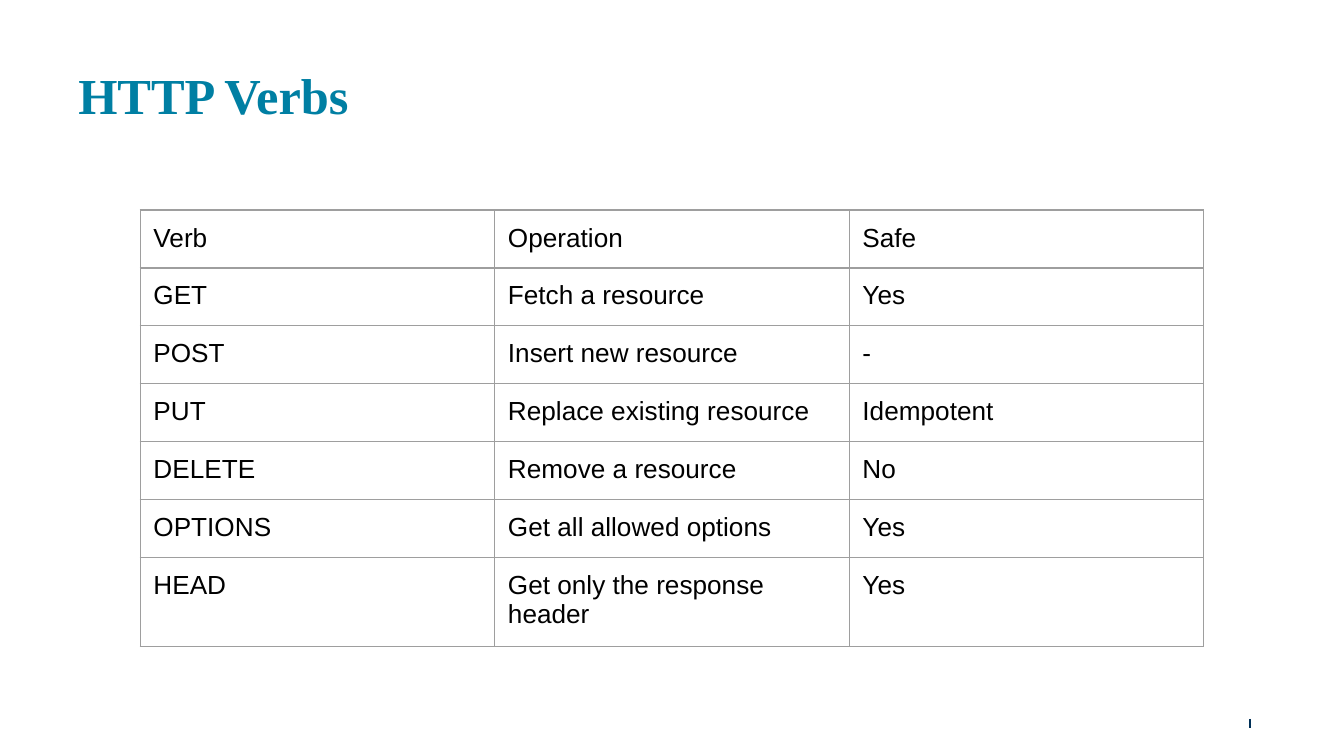
from lxml import etree
from pptx import Presentation
from pptx import util as u
from pptx.dml.color import RGBColor
from pptx.enum import shapes, text
from pptx.oxml import ns

TEAL = RGBColor(0x00, 0x7F, 0xA3)
NAVY = RGBColor(0x00, 0x30, 0x57)
GRAY = RGBColor(0x9E, 0x9E, 0x9E)
BLACK = RGBColor(0x00, 0x00, 0x00)

TITLE_FONT = {"name": "Times New Roman", "size": u.Pt(27), "bold": True}
CELL_FONT = {"name": "Arial", "size": u.Pt(14), "bold": False}
BORDER = u.Pt(0.75)

VERBS = [
    ("Verb", "Operation", "Safe"),
    ("GET", "Fetch a resource", "Yes"),
    ("POST", "Insert new resource", "-"),
    ("PUT", "Replace existing resource", "Idempotent"),
    ("DELETE", "Remove a resource", "No"),
    ("OPTIONS", "Get all allowed options", "Yes"),
    ("HEAD", "Get only the response header", "Yes"),
]


def apply(target, values):
    """Set each named attribute on the target."""
    for name, value in values.items():
        setattr(target, name, value)


def write(para, words, font, color):
    """Add one formatted span to the paragraph."""
    span = para.add_run()
    span.text = words
    apply(span.font, font)
    span.font.color.rgb = color


def add_title(page, box, words):
    """Place the heading in the box."""
    frame = page.shapes.add_textbox(*box).text_frame
    apply(frame, {
        "word_wrap": True,
        "vertical_anchor": text.MSO_ANCHOR.BOTTOM,
        "margin_left": u.Cm(0.18),
        "margin_right": u.Cm(0.18),
        "margin_top": u.Cm(0.18),
        "margin_bottom": u.Cm(0),
    })
    para = frame.paragraphs[0]
    para.line_spacing = 1.11
    write(para, words, TITLE_FONT, TEAL)


def add_borders(cell):
    """Draw a thin gray line on every side of the cell."""
    properties = cell._tc.get_or_add_tcPr()
    for index, side in enumerate(("a:lnL", "a:lnR", "a:lnT", "a:lnB")):
        line = etree.Element(ns.qn(side), w=str(int(BORDER)))
        fill = etree.SubElement(line, ns.qn("a:solidFill"))
        etree.SubElement(fill, ns.qn("a:srgbClr"), val=str(GRAY))
        properties.insert(index, line)


def add_verb_table(page, box, rows):
    """Fill the box with an evenly divided table of the rows."""
    left, top, width, height = box
    columns = len(rows[0])
    table = page.shapes.add_table(len(rows), columns, *box).table
    apply(table, {"first_row": False, "horz_banding": False})
    for column in table.columns:
        column.width = u.Emu(width // columns)
    for row, values in zip(table.rows, rows):
        row.height = u.Emu(height // len(rows))
        for cell, words in zip(row.cells, values):
            apply(cell, {f"margin_{side}": u.Cm(0.25)
                         for side in ("left", "right", "top", "bottom")})
            cell.fill.background()
            add_borders(cell)
            write(cell.text_frame.paragraphs[0], words, CELL_FONT, BLACK)


def add_footer_tick(page, box):
    """Draw the short upright line down the left edge of the box."""
    left, top, width, height = box
    tick = page.shapes.add_connector(
        shapes.MSO_CONNECTOR.STRAIGHT, left, top, left, top + height)
    apply(tick.line, {"width": BORDER})
    tick.line.color.rgb = NAVY
    etree.SubElement(tick._element.spPr, ns.qn("a:effectLst"))


def main():
    """Build and save the deck."""
    deck = Presentation()
    apply(deck, {"slide_width": u.Cm(25.4), "slide_height": u.Cm(14.29)})
    page = deck.slides.add_slide(deck.slide_layouts[6])
    add_footer_tick(page, (u.Cm(23.62), u.Cm(13.59), u.Cm(0), u.Cm(0.18)))
    add_title(page, (u.Cm(1.3), u.Cm(0.86), u.Cm(22.8), u.Cm(1.5)), "HTTP Verbs")
    add_verb_table(page, (u.Cm(2.65), u.Cm(3.97), u.Cm(20.1), u.Cm(7.42)), VERBS)
    deck.save("out.pptx")


if __name__ == "__main__":
    main()
